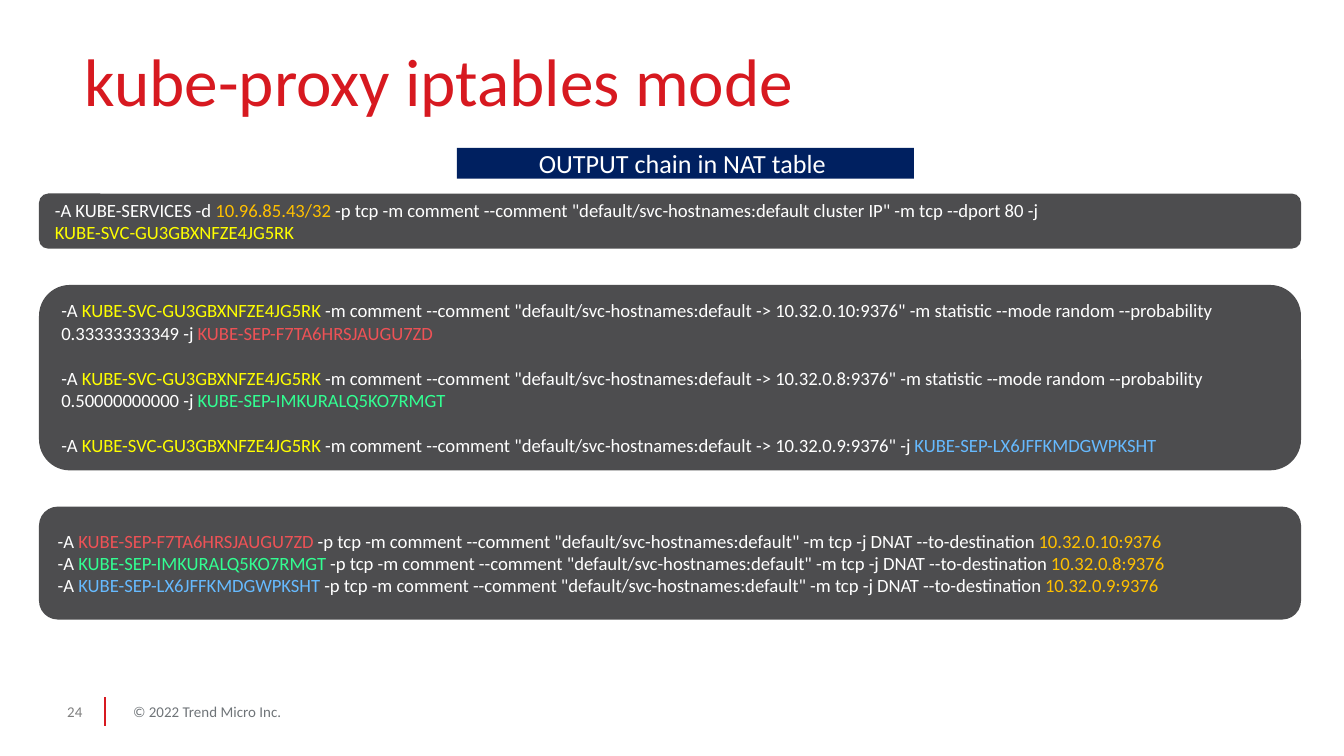
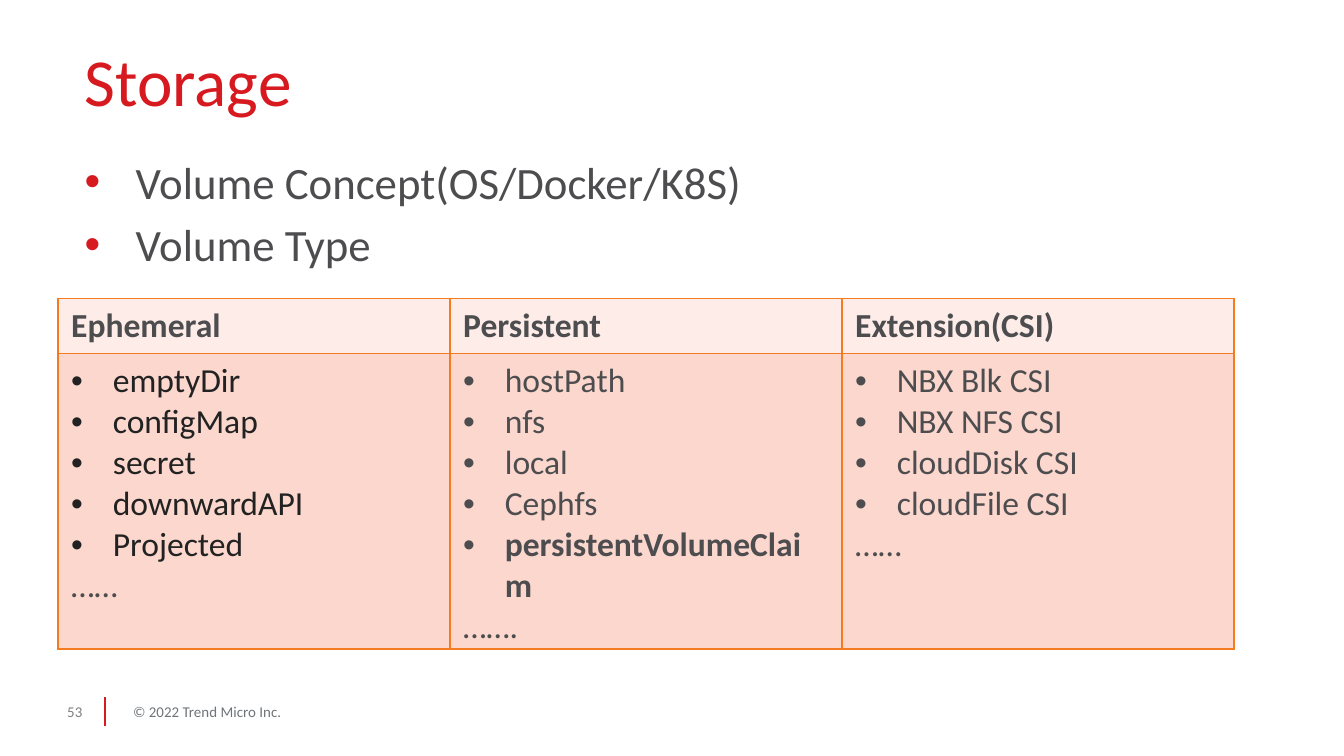
from lxml import etree
from pptx import Presentation
from pptx.dml.color import RGBColor
from pptx.enum.shapes import MSO_CONNECTOR, MSO_SHAPE
from pptx.enum.text import MSO_ANCHOR, PP_ALIGN
from pptx.oxml.ns import qn
from pptx.util import Emu, Inches, Pt

LINE = MSO_CONNECTOR.STRAIGHT
RECT, ROUNDED = MSO_SHAPE.RECTANGLE, MSO_SHAPE.ROUNDED_RECTANGLE
TOP, MIDDLE, BOTTOM = MSO_ANCHOR.TOP, MSO_ANCHOR.MIDDLE, MSO_ANCHOR.BOTTOM
LEFT, CENTER = PP_ALIGN.LEFT, PP_ALIGN.CENTER

WIDTH = 10
HEIGHT = WIDTH * 9 / 16
FONT = "Calibri"
RED, GRAPHITE, WHITE, NAVY = "D71920", "4D4D4F", "FFFFFF", "002060"
YELLOW, AMBER, CORAL, GREEN, SKY = "FFFF00", "FFC000", "EE5256", "32FF92", "66BAFF"
COPYRIGHT_GREY, NUMBER_GREY, INK = "6F7478", "7F7F7F", "222222"
HEADER_FILL, BODY_FILL, BORDER = "FDECE8", "FBD7CD", "F57B20"

COPYRIGHT = "© 2022 Trend Micro Inc."
MARGIN, CONTENT_WIDTH = 0.63, 8.75
FOOTER_TOP, FOOTER_HEIGHT = 5.14, 0.31

PROXY_TITLE, PROXY_NUMBER = "kube-proxy iptables mode", 24
CHAIN_LABEL = "OUTPUT chain in NAT table "
SERVICE = ("KUBE-SVC-GU3GBXNFZE4JG5RK", YELLOW)
CLUSTER_IP = ("10.96.85.43/32", AMBER)
ENDPOINTS = [
    ("KUBE-SEP-F7TA6HRSJAUGU7ZD", CORAL, "10.32.0.10:9376", "0.33333333349"),
    ("KUBE-SEP-IMKURALQ5KO7RMGT", GREEN, "10.32.0.8:9376", "0.50000000000"),
    ("KUBE-SEP-LX6JFFKMDGWPKSHT", SKY, "10.32.0.9:9376", None),
]
PANEL_LEFT, PANEL_WIDTH = 0.29, 9.39

STORAGE_TITLE, STORAGE_NUMBER = "Storage", 53
TOPICS = ["Volume Concept(OS/Docker/K8S)", "Volume Type"]
VOLUME_TYPES = [
    ("Ephemeral", INK,
     ["emptyDir", "configMap", "secret", "downwardAPI", "Projected"], "……"),
    ("Persistent", GRAPHITE,
     ["hostPath", "nfs", "local", "Cephfs", "persistentVolumeClaim"], "……."),
    ("Extension(CSI)", GRAPHITE,
     ["NBX Blk CSI", "NBX NFS CSI", "cloudDisk CSI", "cloudFile CSI"], "……"),
]
EMPHASISED = {"persistentVolumeClaim"}
ROW_HEIGHT, TABLE_HEIGHT = 0.41, 2.31


def colour(hex_value):
    return RGBColor.from_string(hex_value)


def apply(target, values):
    for name, value in values.items():
        setattr(target, name, value)


def child(parent, tag, **attributes):
    return etree.SubElement(parent, qn(tag), attributes)


def bullet(paragraph, indent, hex_value=None):
    properties = paragraph._p.get_or_add_pPr()
    properties.set("marL", str(Inches(indent)))
    properties.set("indent", str(-Inches(indent)))
    if hex_value:
        child(child(properties, "a:buClr"), "a:srgbClr", val=hex_value)
    child(properties, "a:buFont", typeface="Arial")
    child(properties, "a:buChar", char="•")


def write(frame, lines, size, gap=0, align=LEFT, indent=0, bullet_colour=None):
    for index, runs in enumerate(lines):
        paragraph = frame.add_paragraph() if index else frame.paragraphs[0]
        if indent:
            bullet(paragraph, indent, bullet_colour)
        paragraph.alignment = align
        if index and gap:
            paragraph.space_before = Pt(gap)
        for text, hex_value in runs:
            run = paragraph.add_run()
            run.text = text
            apply(run.font, {"name": FONT, "size": Pt(size)})
            run.font.color.rgb = colour(hex_value)


def text_box(slide, place, lines, size, anchor=TOP, wrap=True,
             insets=(0, 0, 0, 0), **style):
    frame = slide.shapes.add_textbox(*map(Inches, place)).text_frame
    left, top, right, bottom = map(Inches, insets)
    apply(frame, {"word_wrap": wrap, "vertical_anchor": anchor,
                  "margin_left": left, "margin_top": top,
                  "margin_right": right, "margin_bottom": bottom})
    write(frame, lines, size, **style)


def panel(slide, outline, place, fill, lines, size, **style):
    block = slide.shapes.add_shape(outline, *map(Inches, place))
    block.shadow.inherit = False
    block.fill.solid()
    block.fill.fore_color.rgb = colour(fill)
    block.line.fill.background()
    apply(block.text_frame, {"word_wrap": True, "vertical_anchor": MIDDLE})
    write(block.text_frame, lines, size, **style)


def base_slide(deck, title, number):
    slide = deck.slides.add_slide(deck.slide_layouts[6])
    divider = slide.shapes.add_connector(
        LINE, *map(Inches, (0.78, 5.19, 0.78, 5.4)))
    divider.line.color.rgb = colour(RED)
    divider.line.width = Pt(1)
    child(divider._element.spPr, "a:effectLst")
    for left, width, text, grey in [(0.99, 1.67, COPYRIGHT, COPYRIGHT_GREY),
                                    (0.5, 0.25, str(number), NUMBER_GREY)]:
        text_box(slide, (left, FOOTER_TOP, width, FOOTER_HEIGHT),
                 [[(text, grey)]], 8, anchor=MIDDLE, wrap=False)
    text_box(slide, (MARGIN, 0.41, CONTENT_WIDTH, 0.58), [[(title, RED)]], 36,
             anchor=BOTTOM, insets=(0, 0, 0, 0.1))
    return slide


def balance_rule(endpoint, endpoint_colour, address, probability):
    chance = (f"-m statistic --mode random --probability {probability} "
              if probability else "")
    return [("-A ", WHITE), SERVICE,
            (' -m comment --comment "default/svc-hostnames:default -> '
             f'{address}" {chance}-j ', WHITE),
            (endpoint, endpoint_colour)]


def destination_rule(endpoint, endpoint_colour, address, _):
    return [("-A ", WHITE), (endpoint, endpoint_colour),
            (' -p tcp -m comment --comment "default/svc-hostnames:default"'
             " -m tcp -j DNAT --to-destination ", WHITE),
            (address, AMBER)]


def proxy_slide(deck):
    slide = base_slide(deck, PROXY_TITLE, PROXY_NUMBER)
    service_rule = [
        [("-A KUBE-SERVICES -d ", WHITE), CLUSTER_IP,
         (' -p tcp -m comment --comment "default/svc-hostnames:default '
          'cluster IP" -m tcp --dport 80 -j', WHITE)],
        [SERVICE],
    ]
    stages = [
        (1.44, 0.41, service_rule, 0),
        (2.12, 1.38, [balance_rule(*end) for end in ENDPOINTS], 12),
        (3.77, 0.84, [destination_rule(*end) for end in ENDPOINTS], 0),
    ]
    for top, height, rules, gap in stages:
        panel(slide, ROUNDED, (PANEL_LEFT, top, PANEL_WIDTH, height),
              GRAPHITE, rules, 10, gap=gap)
    panel(slide, RECT, (3.4, 1.1, 3.4, 0.23), NAVY,
          [[(CHAIN_LABEL, WHITE)]], 14, align=CENTER)


def style_cell(cell, fill):
    properties = cell._tc.get_or_add_tcPr()
    for side in ("a:lnL", "a:lnR", "a:lnT", "a:lnB"):
        edge = child(properties, side, w=str(Pt(1)))
        child(child(edge, "a:solidFill"), "a:srgbClr", val=BORDER)
    cell.fill.solid()
    cell.fill.fore_color.rgb = colour(fill)


def storage_slide(deck):
    slide = base_slide(deck, STORAGE_TITLE, STORAGE_NUMBER)
    text_box(slide, (MARGIN, 1.1, CONTENT_WIDTH, 4.01),
             [[(topic, GRAPHITE)] for topic in TOPICS], 24,
             insets=(0, 0.05, 0.1, 0.05), gap=4.8, indent=0.38,
             bullet_colour=RED)
    volumes_frame = slide.shapes.add_table(
        2, len(VOLUME_TYPES),
        *map(Inches, (0.43, 2.22, CONTENT_WIDTH, TABLE_HEIGHT)))
    table = volumes_frame.table
    apply(table, {"first_row": False, "horz_banding": False})
    for row in table.rows:
        row.height = Inches(ROW_HEIGHT)
    for index, (heading, ink, volumes, more) in enumerate(VOLUME_TYPES):
        table.columns[index].width = Emu(
            Inches(CONTENT_WIDTH) // len(VOLUME_TYPES))
        header, body = table.cell(0, index), table.cell(1, index)
        style_cell(header, HEADER_FILL)
        style_cell(body, BODY_FILL)
        write(header.text_frame, [[(heading, GRAPHITE)]], 18)
        header.text_frame.paragraphs[0].runs[0].font.bold = True
        write(body.text_frame, [[(volume, ink)] for volume in volumes], 18,
              indent=0.31)
        for paragraph in body.text_frame.paragraphs:
            for run in paragraph.runs:
                run.font.bold = run.text in EMPHASISED
        closing = body.text_frame.add_paragraph().add_run()
        closing.text = more
        apply(closing.font, {"name": FONT, "size": Pt(18), "bold": False})
        closing.font.color.rgb = colour(GRAPHITE)
    volumes_frame.height = Inches(TABLE_HEIGHT)


def main():
    deck = Presentation()
    apply(deck, {"slide_width": Inches(WIDTH), "slide_height": Inches(HEIGHT)})
    proxy_slide(deck)
    storage_slide(deck)
    deck.save("out.pptx")


if __name__ == "__main__":
    main()
